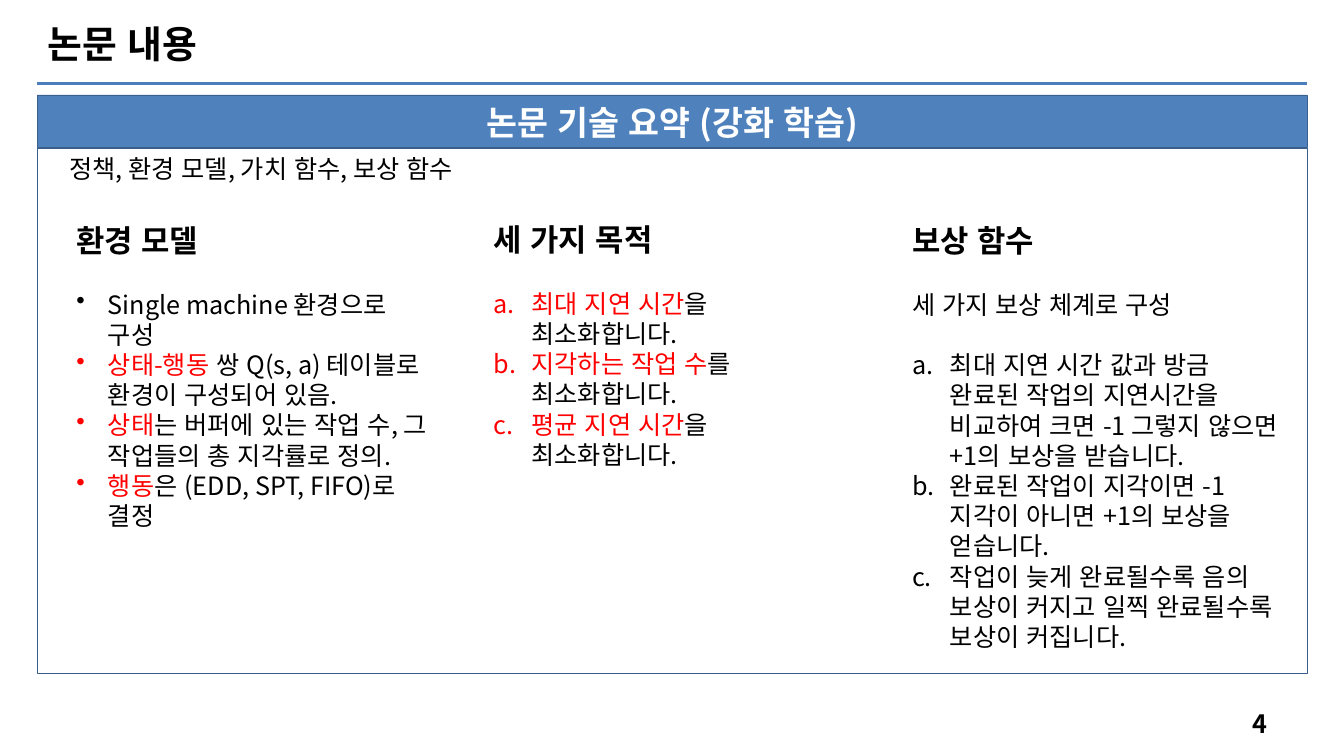
from lxml.etree import SubElement
from pptx import Presentation
from pptx.dml.color import RGBColor
from pptx.enum.lang import MSO_LANGUAGE_ID as Language
from pptx.enum.shapes import MSO_CONNECTOR as Connector, MSO_SHAPE as Shape
from pptx.enum.text import MSO_ANCHOR as Anchor, MSO_AUTO_SIZE as AutoSize, PP_ALIGN as Align
from pptx.oxml.ns import qn
from pptx.util import Pt

BLACK = RGBColor(0x00, 0x00, 0x00)
WHITE = RGBColor(0xFF, 0xFF, 0xFF)
RED = RGBColor(0xFF, 0x00, 0x00)
BLUE = RGBColor(0x4F, 0x81, 0xBD)
RULE_BLUE = RGBColor(0x4B, 0x7E, 0xBC)
EDGE_BLUE = RGBColor(0x3A, 0x5F, 0x8C)

BULLET = ("buChar", {"char": "•"}, 22.5)
LETTER = ("buAutoNum", {"type": "alphaLcPeriod"}, 27)


class SlideBuilder:
    font = "Noto Sans CJK KR"
    body_size = 18
    line_ratio = 1.2

    def __init__(self, page):
        self.page = page

    def style_span(self, span, size, color, bold):
        font = span.font
        font.name, font.size, font.bold = self.font, Pt(size), bold
        font.color.rgb = color
        font.language_id = Language.KOREAN
        SubElement(span._r.get_or_add_rPr(), qn("a:ea"), typeface=self.font)

    def fill_para(self, para, text, size=body_size, color=BLACK, bold=False,
                  align=Align.LEFT, accent="", marker=None, gap=0):
        """Fill a paragraph; a leading accent is set in red."""
        para.alignment = align
        para.line_spacing = Pt(size * self.line_ratio)
        para.space_before = Pt(gap)
        if marker:
            tag, attributes, indent = marker
            props = para._p.get_or_add_pPr()
            props.set("marL", str(Pt(indent)))
            props.set("indent", str(Pt(-indent)))
            SubElement(props, qn(f"a:{tag}"), attributes)
        for words, tint in ((accent, RED), (text, color)):
            if words:
                span = para.add_run()
                span.text = words
                self.style_span(span, size, tint, bold)

    def title(self, text, left, top, width, height):
        box = self.page.shapes.title
        box.left, box.top, box.width, box.height = map(Pt, (left, top, width, height))
        frame = box.text_frame
        frame.auto_size = AutoSize.NONE
        frame.vertical_anchor = Anchor.TOP
        self.fill_para(frame.paragraphs[0], text, size=27, bold=True)

    def rule(self, left, right, y):
        line = self.page.shapes.add_connector(
            Connector.STRAIGHT, Pt(left), Pt(y), Pt(right), Pt(y))
        line.line.color.rgb = RULE_BLUE
        line.line.width = Pt(2.25)
        SubElement(line._element.spPr, qn("a:effectLst"))

    def panel(self, left, top, width, height, text, fill=None,
              anchor=Anchor.TOP, margin=7.2, **style):
        box = self.page.shapes.add_shape(
            Shape.RECTANGLE, Pt(left), Pt(top), Pt(width), Pt(height))
        box.shadow.inherit = False
        if fill is None:
            box.fill.background()
        else:
            box.fill.solid()
            box.fill.fore_color.rgb = fill
        box.line.color.rgb = EDGE_BLUE
        box.line.width = Pt(0.25)
        frame = box.text_frame
        frame.vertical_anchor = anchor
        frame.margin_left = Pt(margin)
        self.fill_para(frame.paragraphs[0], text, **style)

    def text_box(self, left, top, width, height, anchor=Anchor.TOP):
        box = self.page.shapes.add_textbox(Pt(left), Pt(top), Pt(width), Pt(height))
        frame = box.text_frame
        frame.word_wrap = True
        frame.vertical_anchor = anchor
        return frame

    def column(self, left, top, width, height, heading, items):
        """Place a heading and items of (marker, accent, text, blank line before)."""
        frame = self.text_box(left, top, width, height)
        self.fill_para(frame.paragraphs[0], heading, size=22, bold=True)
        for marker, accent, text, spaced in items:
            gap = self.body_size * self.line_ratio if spaced else 0
            self.fill_para(frame.add_paragraph(), text, accent=accent, marker=marker, gap=gap)


def main():
    deck = Presentation()
    deck.slide_width, deck.slide_height = Pt(960), Pt(540)
    builder = SlideBuilder(deck.slides.add_slide(deck.slide_layouts[5]))
    left, width = 26.6, 907.2

    # Title and rule
    builder.title("논문 내용", left, 11.5, 453.6, 40.3)
    builder.rule(left, left + width, 59.8)

    # Framed summary with its banner
    builder.panel(left, 105.8, width, 375.1, "정책, 환경 모델, 가치 함수, 보상 함수", margin=23)
    builder.panel(left, 67.7, width, 37.4, "논문 기술 요약 (강화 학습)", fill=BLUE,
                  anchor=Anchor.BOTTOM, size=24, color=WHITE, bold=True, align=Align.CENTER)

    # Three columns
    builder.column(47.5, 154.8, 268.6, 252, "환경 모델", [
        (BULLET, "", "Single machine 환경으로 구성", True),
        (BULLET, "상태-행동", " 쌍 Q(s, a) 테이블로 환경이 구성되어 있음.", False),
        (BULLET, "상태", "는 버퍼에 있는 작업 수, 그 작업들의 총 지각률로 정의.", False),
        (BULLET, "행동", "은 (EDD, SPT, FIFO)로 결정", False),
    ])
    builder.column(345.6, 154.1, 268.6, 208.1, "세 가지 목적", [
        (LETTER, "최대 지연 시간", "을 최소화합니다.", True),
        (LETTER, "지각하는 작업 수", "를 최소화합니다.", False),
        (LETTER, "평균 지연 시간", "을 최소화합니다.", False),
    ])
    builder.column(644.4, 154.8, 278.6, 317.5, "보상 함수", [
        (None, "", "세 가지 보상 체계로 구성", True),
        (LETTER, "", "최대 지연 시간 값과 방금 완료된 작업의 지연시간을 비교하여 크면 -1 "
                     "그렇지 않으면 +1의 보상을 받습니다.", True),
        (LETTER, "", "완료된 작업이 지각이면 -1 지각이 아니면 +1의 보상을 얻습니다.", False),
        (LETTER, "", "작업이 늦게 완료될수록 음의 보상이 커지고 일찍 완료될수록 "
                     "보상이 커집니다.", False),
    ])

    # Page number
    number = builder.text_box(688.3, 502.6, 223.9, 28.8, Anchor.MIDDLE)
    builder.fill_para(number.paragraphs[0], "4", bold=True, align=Align.RIGHT)

    deck.save("out.pptx")


if __name__ == "__main__":
    main()
